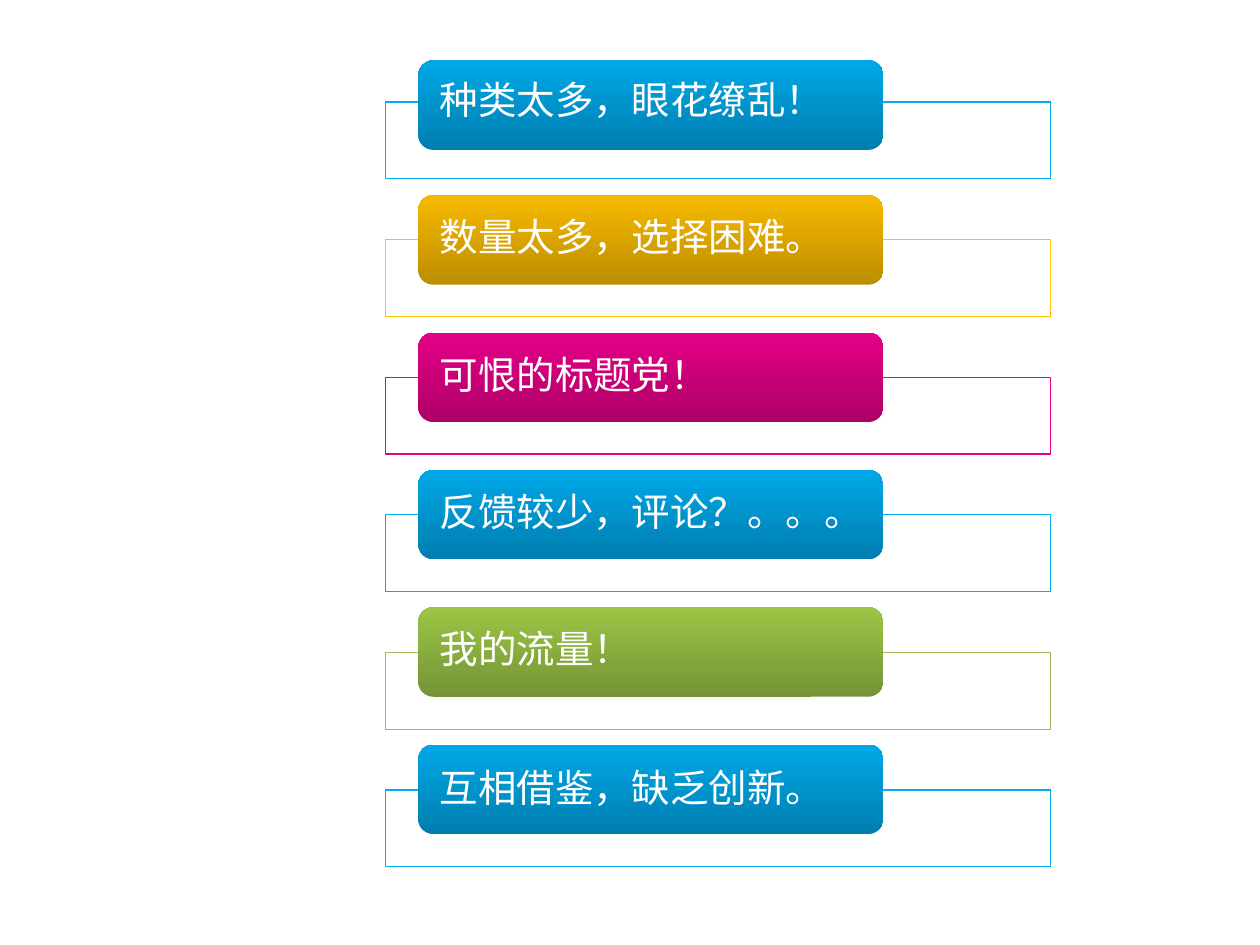
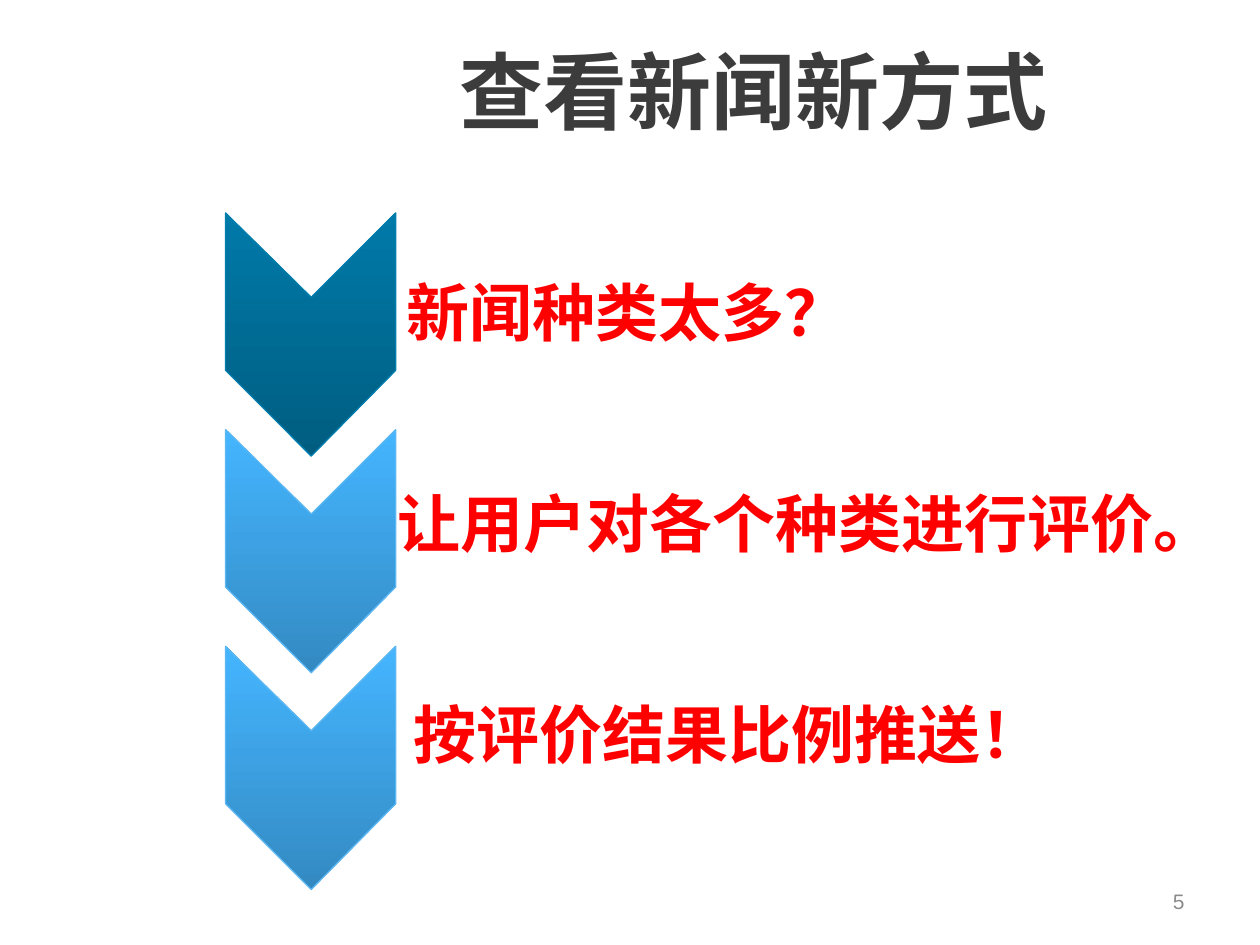
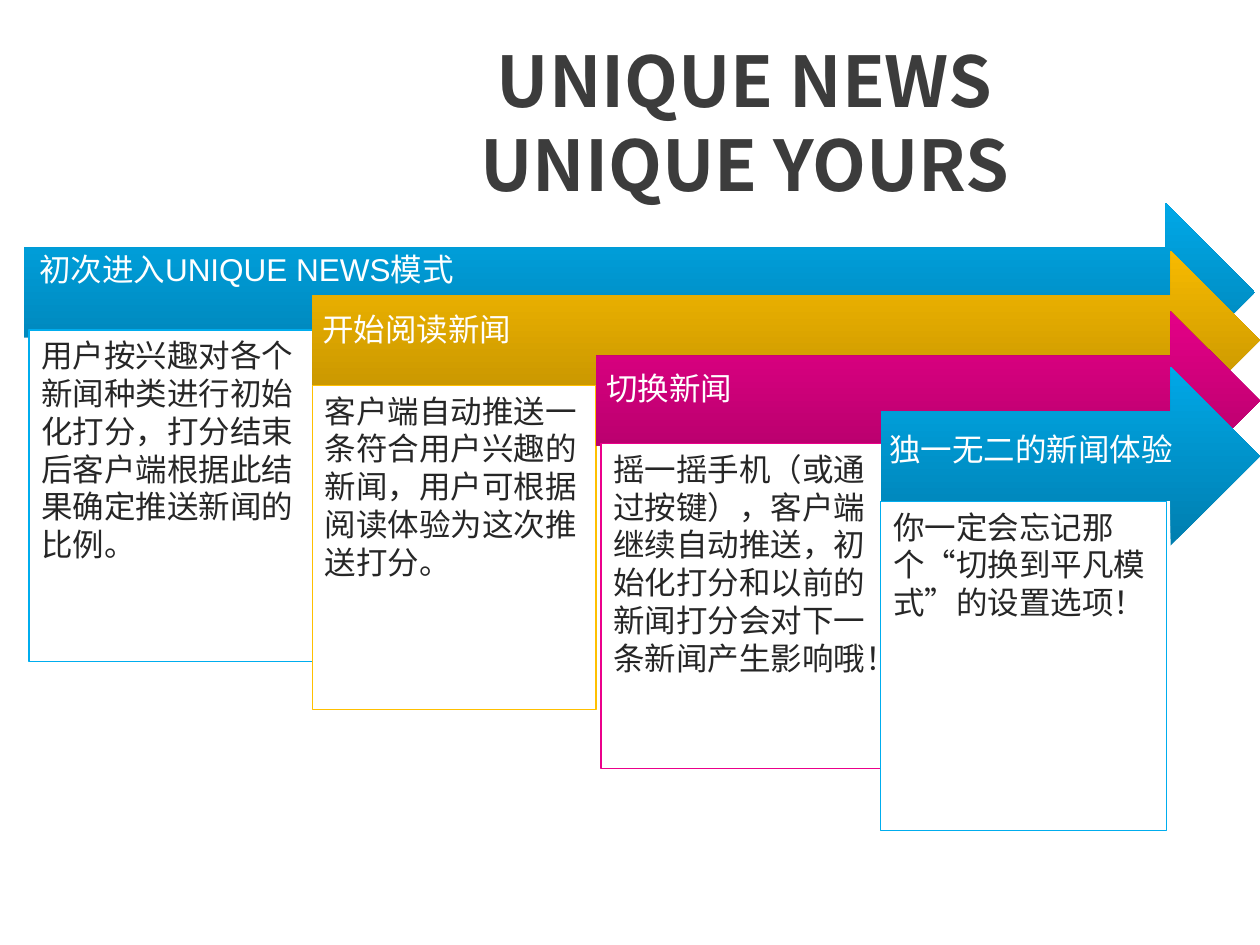
from pptx import Presentation
from pptx.dml.color import RGBColor
from pptx.enum.shapes import MSO_SHAPE
from pptx.enum.text import MSO_ANCHOR, PP_ALIGN
from pptx.util import Inches, Pt

BLUE = ("007EAF", "00A8E7", "00ADEE")
GOLD = ("BC8D00", "F7BA00", "FFC000")
PINK = ("AD0066", "E40087", "EB008B")
GREEN = ("759436", "9BC545", "9BBB59")
DEEP_BLUE = ("005D80", "007AA9", "007EAE")
SKY = ("338AC2", "45B5FF", "5DB7F2")
WHITE, INK, TITLE_GREY, NUMBER_GREY, RED = "FFFFFF", "262626", "3C3C3C", "8B8B8B", "FF0000"
BODY_FONT, TITLE_FONT = "Arial", "Noto Sans CJK SC"
DEFAULT_INSETS = (0.1, 0.05, 0.1, 0.05)


def paint(shape, bottom, top=None, line=None):
    shape.shadow.inherit = False
    if top:
        shape.fill.gradient()
        shape.fill.gradient_angle = 90
        for stop, color in zip(shape.fill.gradient_stops, (bottom, top)):
            stop.color.rgb = RGBColor.from_string(color)
    else:
        shape.fill.solid()
        shape.fill.fore_color.rgb = RGBColor.from_string(bottom)
    if line:
        shape.line.color.rgb = RGBColor.from_string(line)
        shape.line.width = Pt(0.75)
    else:
        shape.line.fill.background()


def write(shape, text, size, color, bold=False, align=PP_ALIGN.LEFT, anchor=MSO_ANCHOR.MIDDLE,
          insets=DEFAULT_INSETS, after=0, spacing=1.0, font_name=BODY_FONT):
    frame = shape.text_frame
    frame.word_wrap = True
    frame.vertical_anchor = anchor
    frame.margin_left, frame.margin_top, frame.margin_right, frame.margin_bottom = map(Inches, insets)
    paragraph = frame.paragraphs[0]
    paragraph.alignment = align
    paragraph.line_spacing = spacing
    paragraph.space_after = Pt(after)
    for index, line in enumerate(text.split("\n")):
        if index:
            paragraph.add_line_break()
        run = paragraph.add_run()
        run.text = line
        run.font.name = font_name
        run.font.size = Pt(size)
        run.font.bold = bold
        run.font.color.rgb = RGBColor.from_string(color)


presentation = Presentation()
presentation.slide_width = Inches(10)
presentation.slide_height = Inches(7.5)
problem_slide, method_slide, journey_slide = [
    presentation.slides.add_slide(presentation.slide_layouts[6]) for _ in range(3)
]

for slide, left, top, size, title in (
    (method_slide, 2.24, 0.44, 48, "查看新闻新方式"),
    (journey_slide, 2.17, 0.69, 40, "UNIQUE NEWS\nUNIQUE YOURS"),
):
    title_box = slide.shapes.add_textbox(Inches(left), Inches(top), Inches(7.48), Inches(0.55))
    write(title_box, title, size, TITLE_GREY, bold=True, align=PP_ALIGN.CENTER, font_name=TITLE_FONT)

problems = (
    ("种类太多，眼花缭乱！", BLUE, 0.48, 0.49),
    ("数量太多，选择困难。", GOLD, 1.55, 1.58),
    ("可恨的标题党！", PINK, 2.64, 2.67),
    ("反馈较少，评论？。。。", BLUE, 3.73, 3.76),
    ("我的流量！", GREEN, 4.82, 4.85),
    ("互相借鉴，缺乏创新。", BLUE, 5.91, 5.95),
)
for row, (problem, (dark, bright, outline), bar_top, text_top) in enumerate(problems):
    frame_box = problem_slide.shapes.add_shape(
        MSO_SHAPE.RECTANGLE, Inches(3.06), Inches(0.81 + 1.092 * row), Inches(5.28), Inches(0.61))
    paint(frame_box, WHITE, line=outline)
    bar = problem_slide.shapes.add_shape(
        MSO_SHAPE.ROUNDED_RECTANGLE, Inches(3.32), Inches(bar_top), Inches(3.69), Inches(0.71))
    paint(bar, dark, bright)
    label = problem_slide.shapes.add_textbox(Inches(3.35), Inches(text_top), Inches(3.65), Inches(0.64))
    write(label, problem, 22, WHITE, insets=(0.14, 0, 0.14, 0), after=9.6, spacing=0.9)

chevron_points = ((0, 0), (0, 1.25), (0.68, 1.93), (1.35, 1.25), (1.35, 0), (0.68, 0.67))
steps = (
    ("新闻种类太多？", DEEP_BLUE, (2.65, 2.05, 4.65, 0.92)),
    ("让用户对各个种类进行评价。", SKY, (3.1, 3.73, 6.61, 0.9)),
    ("按评价结果比例推送！", SKY, (2.72, 5.34, 6.12, 1.04)),
)
for row, (step, (dark, bright, outline), bounds) in enumerate(steps):
    chevron_top = 1.69 + 1.72 * row
    points = [(Inches(1.79 + x), Inches(chevron_top + y)) for x, y in chevron_points]
    builder = method_slide.shapes.build_freeform(*points[0])
    builder.add_line_segments(points[1:], close=True)
    paint(builder.convert_to_shape(), dark, bright, outline)
    label = method_slide.shapes.add_textbox(*map(Inches, bounds))
    write(label, step, 36, RED, bold=True, align=PP_ALIGN.CENTER,
          insets=(0.02, 0.02, 0.02, 0.02), after=15.8, spacing=0.9)

number_box = method_slide.shapes.add_textbox(Inches(7.17), Inches(6.95), Inches(2.33), Inches(0.4))
write(number_box, "5", 12, NUMBER_GREY, align=PP_ALIGN.RIGHT)

stages = (
    ("初次进入UNIQUE NEWS模式", "用户按兴趣对各个新闻种类进行初始化打分，打分结束后客户端根据此结果确定推送新闻的比例。",
     BLUE, (0.19, 1.61, 9.77, 1.42), (0.23, 1.87, 9.42, 0.71), (0.23, 2.62, 2.25, 2.63)),
    ("开始阅读新闻", "客户端自动推送一条符合用户兴趣的新闻，用户可根据阅读体验为这次推送打分。",
     GOLD, (2.48, 1.99, 7.52, 1.42), (2.48, 2.35, 7.16, 0.71), (2.48, 3.06, 2.25, 2.57)),
    ("切换新闻", "摇一摇手机（或通过按键），客户端继续自动推送，初始化打分和以前的新闻打分会对下一条新闻产生影响哦！",
     PINK, (4.73, 2.47, 5.27, 1.42), (4.73, 2.82, 4.91, 0.71), (4.77, 3.52, 2.25, 2.58)),
    ("独一无二的新闻体验", "你一定会忘记那个“切换到平凡模式”的设置选项！",
     BLUE, (6.99, 2.91, 3.01, 1.42), (6.98, 3.3, 2.66, 0.71), (6.99, 3.98, 2.27, 2.61)),
)
for heading, detail, (dark, bright, outline), arrow_bounds, heading_bounds, detail_bounds in stages:
    arrow = journey_slide.shapes.add_shape(MSO_SHAPE.RIGHT_ARROW, *map(Inches, arrow_bounds))
    paint(arrow, dark, bright)
    heading_box = journey_slide.shapes.add_textbox(*map(Inches, heading_bounds))
    write(heading_box, heading, 18, WHITE, insets=(0.08, 0.08, 0.28, 0.23), after=7.9, spacing=0.9)
    detail_box = journey_slide.shapes.add_shape(MSO_SHAPE.RECTANGLE, *map(Inches, detail_bounds))
    paint(detail_box, WHITE, line=outline)
    write(detail_box, detail, 18, INK, anchor=MSO_ANCHOR.TOP)

presentation.save("out.pptx")
